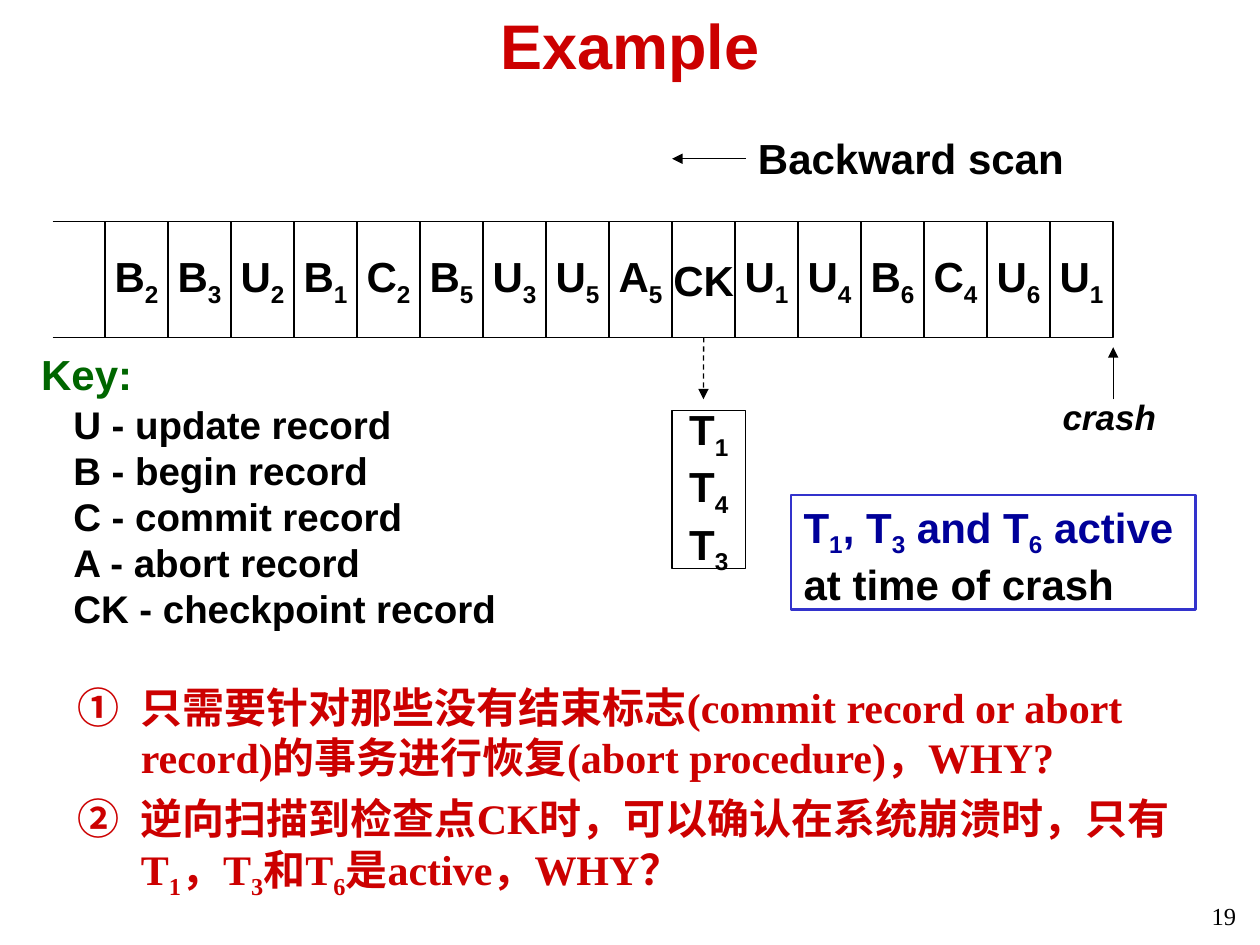
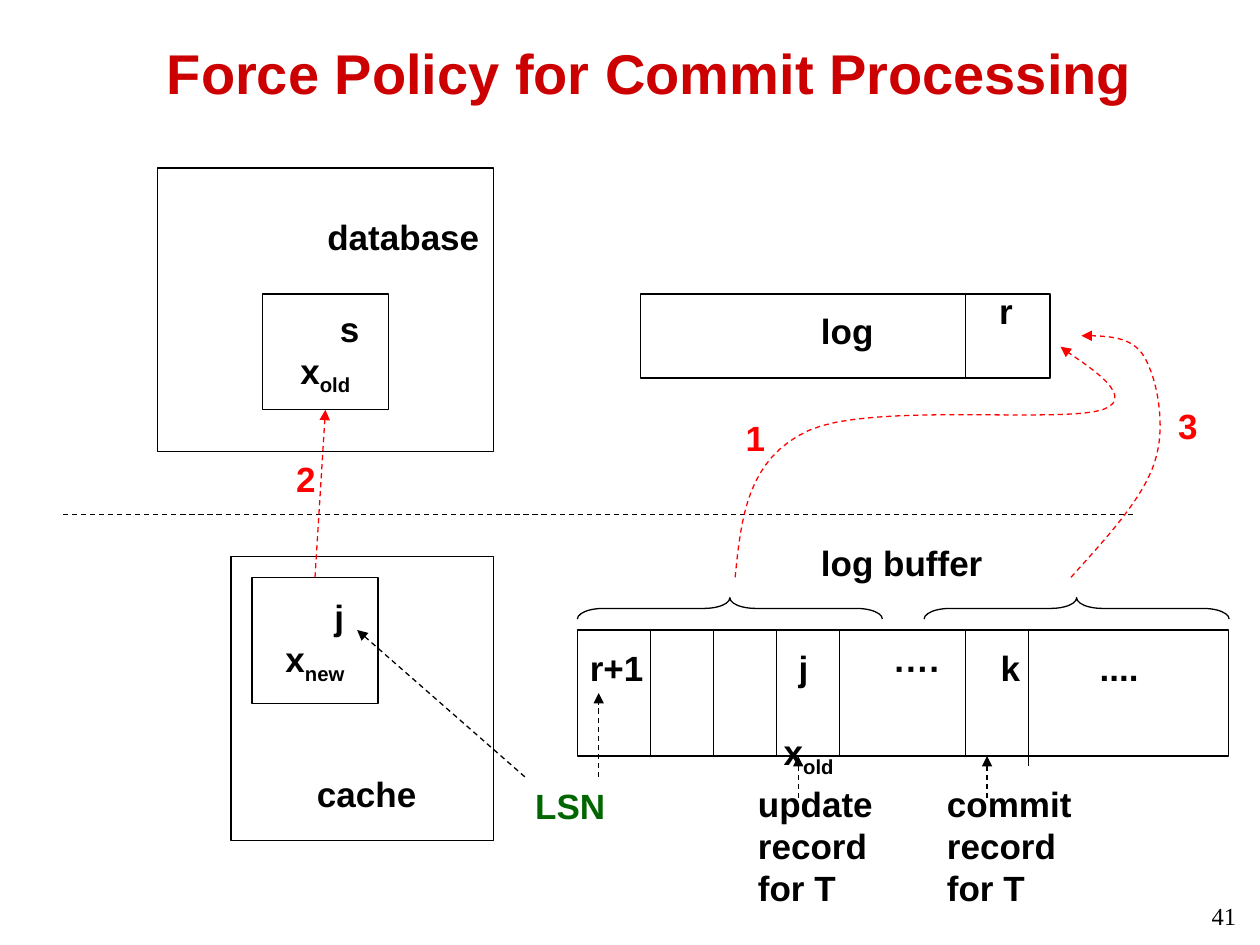
from dataclasses import dataclass

from lxml.etree import SubElement
from pptx import Presentation
from pptx.dml.color import RGBColor as Rgb
from pptx.enum.dml import MSO_LINE as Dash
from pptx.enum.shapes import MSO_CONNECTOR as Conn, MSO_SHAPE as Form
from pptx.enum.text import MSO_ANCHOR as Anchor, PP_ALIGN as Align
from pptx.oxml.ns import qn
from pptx.util import Cm, Pt


@dataclass(frozen=True)
class Theme:
    black: str = "000000"
    white: str = "FFFFFF"
    title: str = "CC0000"
    flow: str = "FF0000"
    key: str = "006600"
    note: str = "000099"
    frame: str = "3333CC"
    sans: str = "Arial"
    serif: str = "Times New Roman"
    head: int = 36
    head_long: int = 32
    big: int = 24
    mid: int = 22
    small: int = 20
    page: int = 14
    thin: float = 0.75


T = Theme()


def cm(*nums):
    return [Cm(n) for n in nums]


def add_run(para, text, size, color, font, bold, italic, sub):
    run = para.add_run()
    run.text = text
    face = run.font
    face.size, face.name = Pt(size), font
    face.bold, face.italic = bold, italic
    face.color.rgb = Rgb.from_string(color)
    if sub:
        run._r.get_or_add_rPr().set("baseline", "-25000")


def write(frame, text, size=T.big, color=T.black, font=T.sans, bold=True,
          italic=False, align=Align.LEFT, anchor=Anchor.TOP, wrap=True,
          gap=0, number=False, shift=0, tail=None):
    """Fill a frame: newlines split paragraphs, ~marks~ a subscript.

    shift indents the first paragraph; tail is a closing run in black.
    """
    frame.word_wrap, frame.vertical_anchor = wrap, anchor
    for i, line in enumerate(text.split("\n")):
        para = frame.add_paragraph() if i else frame.paragraphs[0]
        para.alignment = align
        if i and gap:
            para.space_before = Pt(gap)
        props = para._p.get_or_add_pPr()
        if number:
            props.set("marL", str(Cm(1.27)))
            props.set("indent", str(Cm(-1.27)))
            SubElement(props, qn("a:buAutoNum"), type="circleNumDbPlain")
        elif shift and not i:
            props.set("marL", str(Cm(shift)))
        for k, part in enumerate(line.split("~")):
            if part:
                add_run(para, part, size, color, font, bold, italic, k % 2)
    if tail:
        add_run(para, tail, size, T.black, font, bold, italic, False)


def label(slide, x, y, w, h, text, **form):
    write(slide.shapes.add_textbox(*cm(x, y, w, h)).text_frame, text, **form)


def stroke(item, color=T.black, width=T.thin, dash=False, arrow=False):
    item.line.color.rgb = Rgb.from_string(color)
    item.line.width = Pt(width)
    if dash:
        item.line.dash_style = Dash.DASH
    if arrow:
        SubElement(item.element.spPr.find(qn("a:ln")), qn("a:tailEnd"),
                   type="triangle")


def box(slide, x, y, w, h, text="", fill=T.white, edge=T.black, width=T.thin,
        **form):
    rect = slide.shapes.add_shape(Form.RECTANGLE, *cm(x, y, w, h))
    rect.shadow.inherit = False
    if fill:
        rect.fill.solid()
        rect.fill.fore_color.rgb = Rgb.from_string(fill)
    else:
        rect.fill.background()
    stroke(rect, edge, width)
    if text:
        write(rect.text_frame, text, **form)
    return rect


def cell(slide, x, y, w, h, text, **form):
    form = dict(align=Align.CENTER, anchor=Anchor.MIDDLE, wrap=False) | form
    return box(slide, x, y, w, h, text, **form)


def line(slide, x1, y1, x2, y2, start=None, end=None, **look):
    """Draw a line; start and end are (box, side) pairs to join."""
    link = slide.shapes.add_connector(Conn.STRAIGHT, *cm(x1, y1, x2, y2))
    if start:
        link.begin_connect(*start)
    if end:
        link.end_connect(*end)
    stroke(link, **look)
    SubElement(link.element.spPr, qn("a:effectLst"))


def curve(slide, start, *arcs, steps=16):
    """Draw a dashed red arrow along cubic arcs of three points each."""
    points, p0 = [], start
    for p1, p2, p3 in arcs:
        for i in range(1, steps + 1):
            t = i / steps
            u = 1 - t
            points.append(cm(*(
                u**3 * a + 3 * u * u * t * b + 3 * u * t * t * c + t**3 * d
                for a, b, c, d in zip(p0, p1, p2, p3))))
        p0 = p3
    pen = slide.shapes.build_freeform(*cm(*start))
    pen.add_line_segments(points, close=False)
    bend = pen.convert_to_shape()
    bend.shadow.inherit = False
    bend.fill.background()
    stroke(bend, T.flow, dash=True, arrow=True)


def brace(slide, x):
    """Lay a brace on its side over part of the log buffer."""
    mark = slide.shapes.add_shape(Form.RIGHT_BRACE, *cm(x, 9.19, 0.43, 6.15))
    mark.rotation = 270
    mark.adjustments[0] = 1.21
    mark.shadow.inherit = False
    mark.fill.background()
    stroke(mark)


def new_slide(deck, title, size, spot, page):
    slide = deck.slides.add_slide(deck.slide_layouts[6])
    label(slide, 19.89, 18.04, 5.28, 0.99, page, size=T.page, font=T.serif,
          bold=False, align=Align.RIGHT)
    label(slide, *spot, title, size=size, color=T.title, align=Align.CENTER,
          anchor=Anchor.MIDDLE)
    return slide


def scan_slide(deck):
    slide = new_slide(deck, "Example", T.head, (1.9, 0, 21.59, 1.8), "19")
    left, top, wide, high = 2.12, 4.47, 1.27, 2.33
    log = "B2 B3 U2 B1 C2 B5 U3 U5 A5 CK U1 U4 B6 C4 U6 U1".split()
    for i, name in enumerate(log):
        text = name if name == "CK" else f"{name[0]}~{name[1]}~"
        rect = cell(slide, left + i * wide, top, wide, high, text)
        if name == "CK":
            check = rect
    for y in (top, top + high):
        line(slide, 1.06, y, left, y)
    cell(slide, 13.55, 8.28, 1.48, 3.18, "T~1~\nT~4~\nT~3~")
    line(slide, 14.18, 6.8, 14.18, 8.05, start=(check, 2), dash=True,
         arrow=True)

    label(slide, 21.17, 7.85, 2.5, 1.09, "crash", size=T.small, italic=True)
    line(slide, 22.44, 8.05, 22.44, 7, arrow=True)
    label(slide, 15.03, 2.54, 6.9, 1.27, "Backward scan")
    line(slide, 15.03, 3.2, 13.55, 3.2, arrow=True)
    label(slide, 0.58, 6.91, 3, 1.2, "Key:", color=T.key)
    label(slide, 1.23, 7.95, 9.3, 4.9,
          "U - update record\nB - begin record\nC - commit record\n"
          "A - abort record\nCK - checkpoint record", size=T.mid)
    box(slide, 15.95, 9.98, 8.15, 2.31, "T~1~, T~3~ and T~6~ active ",
        fill=None, edge=T.frame, width=1.5, color=T.note,
        tail="at time of crash")
    label(slide, 1.32, 13.61, 23.04, 4.57,
          "只需要针对那些没有结束标志(commit record or abort record)"
          "的事务进行恢复(abort procedure)，WHY?\n"
          "逆向扫描到检查点CK时，可以确认在系统崩溃时，只有"
          "T~1~，T~3~和T~6~是active，WHY？",
          color=T.title, font=T.serif, gap=6, number=True)


def force_slide(deck):
    slide = new_slide(deck, "Force Policy for Commit Processing", T.head_long,
                      (1.9, 0.43, 22.4, 2.03), "41")
    small = dict(size=T.small)
    page = dict(size=T.small, wrap=True, shift=0.98)
    dashed = dict(dash=True, arrow=True)

    # Database, cache and the divide between disk and memory
    box(slide, 3.18, 3.39, 6.77, 5.71, fill=None)
    box(slide, 4.66, 11.22, 5.29, 5.72, fill=None)
    stored = cell(slide, 5.29, 5.93, 2.54, 2.33, "s\nx~old~", **page)
    cached = cell(slide, 5.08, 11.64, 2.54, 2.54, "j\nx~new~", **page)
    line(slide, 1.27, 10.37, 22.86, 10.37, dash=True)

    # Log and log buffer
    box(slide, 12.91, 5.93, 8.26, 1.69)
    line(slide, 19.47, 5.93, 19.47, 7.62)
    box(slide, 11.64, 12.7, 13.12, 2.54)
    for x in (13.12, 14.39, 15.66, 16.93, 19.47):
        line(slide, x, 12.7, x, 15.24)
    line(slide, 20.74, 12.7, 20.74, 15.45)
    for x, w, text in ((11.64, 2, "r+1"), (15.85, 0.9, "j"),
                       (17.78, 1.8, "····"), (19.92, 0.9, "k"),
                       (21.92, 1.6, "....")):
        label(slide, x, 12.9, w, 1.09, text, **small)
    label(slide, 15.55, 14.6, 2, 1.09, "x~old~", **small)

    for x, y, w, text in ((6.14, 15.44, 2.6, "cache"),
                          (6.35, 4.22, 3.7, "database"),
                          (16.3, 6.12, 1.8, "log"),
                          (16.3, 10.8, 3.9, "log buffer"),
                          (19.89, 5.72, 0.9, "r")):
        label(slide, x, y, w, 1.09, text, **small)

    # Log records of transaction T
    for x, tip, name in ((15.03, 16.09, "update"), (18.84, 19.9, "commit")):
        label(slide, x, 15.65, 3.1, 2.79, f"{name}\nrecord\nfor T", **small)
        line(slide, tip, 16.09, tip, 15.24, **dashed)

    # Order of the writes
    for x in (14.5, 21.49):
        brace(slide, x)
    curve(slide, (14.82, 11.64),
          ((14.94, 10.44), (15.06, 9.25), (16.3, 8.68)),
          ((17.53, 8.11), (21.39, 8.54), (22.23, 8.26)),
          ((23.06, 7.97), (21.56, 7.17), (21.38, 6.99)))
    curve(slide, (21.59, 11.64),
          ((22.3, 10.85), (23.04, 10.06), (23.28, 9.31)),
          ((23.52, 8.57), (23.32, 7.62), (23.07, 7.2)),
          ((22.83, 6.77), (22.3, 6.77), (21.8, 6.77)))
    line(slide, 6.35, 11.64, 6.56, 8.26, start=(cached, 0), end=(stored, 2),
         color=T.flow, **dashed)
    for x, y, text in ((14.78, 8.28, "1"), (5.72, 9.1, "2"),
                       (23.5, 8.03, "3")):
        label(slide, x, y, 0.95, 1.09, text, color=T.flow, **small)

    label(slide, 10.54, 15.7, 2.1, 1.09, "LSN", color=T.key, **small)
    line(slide, 10.58, 15.66, 7.2, 12.7, **dashed)
    line(slide, 12.07, 15.66, 12.07, 13.97, **dashed)


def main():
    deck = Presentation()
    deck.slide_width, deck.slide_height = cm(25.4, 19.05)
    scan_slide(deck)
    force_slide(deck)
    deck.save("out.pptx")


if __name__ == "__main__":
    main()
